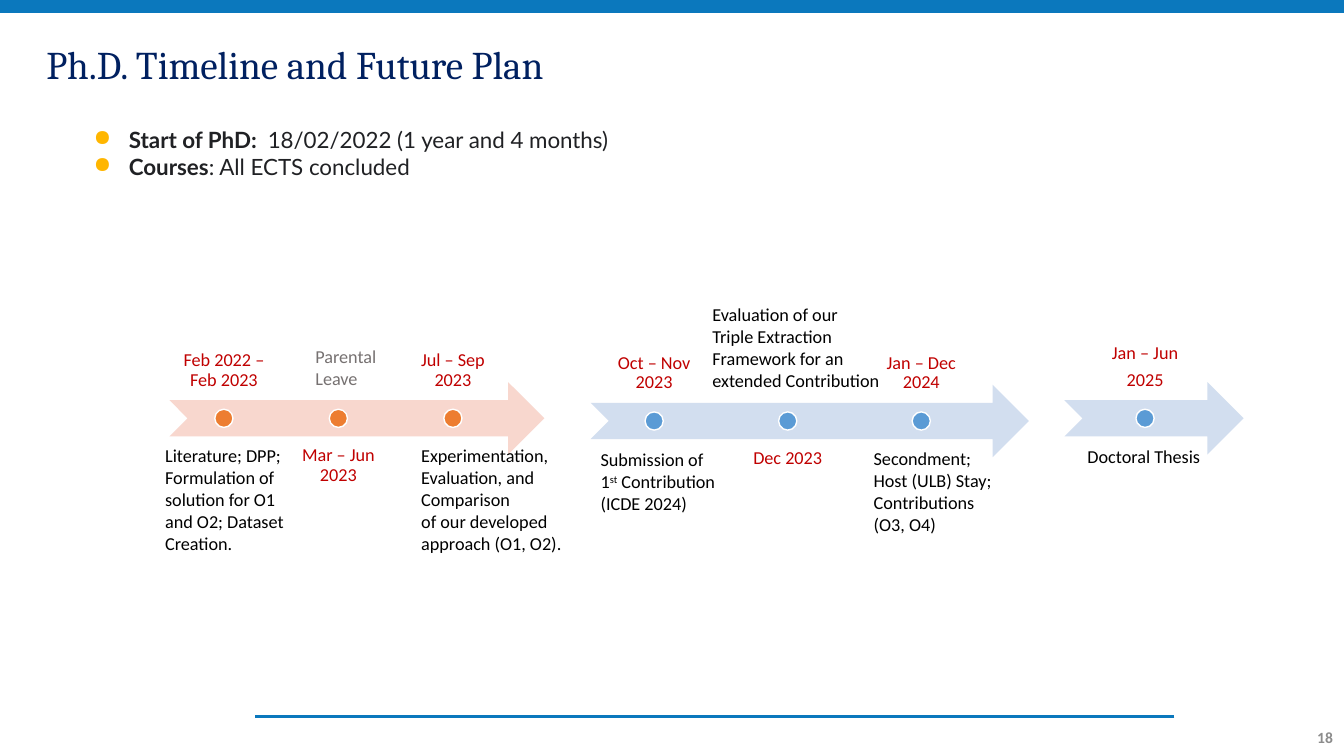
from lxml import etree
from pptx import Presentation
from pptx.dml.color import RGBColor
from pptx.enum import shapes, text
from pptx.oxml.ns import qn
from pptx.util import Pt

BLUE = RGBColor(0x0B, 0x78, 0xBD)
NAVY = RGBColor(0x00, 0x20, 0x60)
INK = RGBColor(0x20, 0x21, 0x24)
BLACK = RGBColor(0, 0, 0)
WHITE = RGBColor(0xFF, 0xFF, 0xFF)
RED = RGBColor(0xC0, 0, 0)
GREY = RGBColor(0x76, 0x71, 0x71)
PAGE_GREY = RGBColor(0x8C, 0x8C, 0x8C)
PEACH = RGBColor(0xF8, 0xD7, 0xCE)
ORANGE = RGBColor(0xED, 0x7D, 0x31)
PALE_BLUE = RGBColor(0xD2, 0xDE, 0xEF)
MID_BLUE = RGBColor(0x5B, 0x9B, 0xD5)

TOP, MIDDLE, BOTTOM = (text.MSO_ANCHOR.TOP, text.MSO_ANCHOR.MIDDLE,
                       text.MSO_ANCHOR.BOTTOM)
KINDS = shapes.MSO_SHAPE

deck = Presentation()
deck.slide_width, deck.slide_height = Pt(960), Pt(540)
slide = deck.slides.add_slide(deck.slide_layouts[6])


def add_text(box, paragraphs, font, anchor=TOP, inset=None, layout=None):
    """Each paragraph is a list of (words, extra font values); \n breaks a line."""
    frame = slide.shapes.add_textbox(*map(Pt, box)).text_frame
    frame.word_wrap = True
    frame.vertical_anchor = anchor
    if inset is not None:
        for side in ("left", "top", "right", "bottom"):
            setattr(frame, f"margin_{side}", Pt(inset))
    for i, runs in enumerate(paragraphs):
        paragraph = frame.paragraphs[0] if i == 0 else frame.add_paragraph()
        for key, value in (layout or {}).items():
            setattr(paragraph, key, value)
        for words, extra in runs:
            for n, line in enumerate(words.split("\n")):
                if n:
                    paragraph.add_line_break()
                run = paragraph.add_run()
                run.text = line
                values = {**font, **extra}
                run.font.color.rgb = values.pop("color")
                if values.pop("superscript", False):
                    run.font._element.set("baseline", "30000")
                for key, value in values.items():
                    setattr(run.font, key, value)
    return frame


def add_figure(kind, box, fill, outline=None):
    figure = slide.shapes.add_shape(kind, *map(Pt, box))
    figure.shadow.inherit = False
    figure.fill.solid()
    figure.fill.fore_color.rgb = fill
    if outline is None:
        figure.line.fill.background()
    else:
        figure.line.color.rgb = outline
        figure.line.width = Pt(1)


# Top band, footer rule and page number
add_figure(KINDS.RECTANGLE, (0, 0, 960, 9.2), BLUE)
rule = slide.shapes.add_connector(shapes.MSO_CONNECTOR.STRAIGHT,
                                  Pt(838.8), Pt(511.8), Pt(182.2), Pt(511.8))
rule.line.color.rgb = BLUE
rule.line.width = Pt(1.5)
etree.SubElement(rule._element.spPr, qn("a:effectLst"))
add_text((933.8, 512, 26, 28.8), [[("18", {})]],
         {"name": "Calibri", "size": Pt(11.1), "bold": True, "color": PAGE_GREY},
         MIDDLE, layout={"space_after": Pt(6)})

# Title
add_text((26, 18, 610.6, 48.2), [[("Ph.D. Timeline and Future Plan", {})]],
         {"name": "Cambria", "size": Pt(28), "color": NAVY},
         BOTTOM, layout={"line_spacing": 0.9})

# Key facts
facts = add_text((49, 77.8, 404.6, 62.6), [
    [("Start of PhD:  ", {"bold": True}), ("18/02/2022 (1 year and 4 months)", {})],
    [("Courses", {"bold": True}), (": All ECTS concluded", {})],
], {"name": "Lato", "size": Pt(16), "color": INK}, MIDDLE, 7.2)
for fact in facts.paragraphs:
    props = fact._p.get_or_add_pPr()
    props.set("marL", str(Pt(36)))
    props.set("indent", str(Pt(-25.2)))
    bullet_color = etree.SubElement(props, qn("a:buClr"))
    etree.SubElement(bullet_color, qn("a:srgbClr"), val="FFB600")
    etree.SubElement(props, qn("a:buChar"), char="●")

# Timeline: arrow left, top, width, fill; dot fill; date width, step; dates
phases = [
    (121, 272.9, 267.8, PEACH, ORANGE, 77.8, 81.8,
     [["Feb 2022 – Feb 2023"], ["Mar – Jun 2023"], ["Jul – Sep\n2023"]]),
    (421.9, 274.8, 313, PALE_BLUE, MID_BLUE, 90.7, 95.4,
     [["Oct – Nov 2023"], ["Dec 2023"], ["Jan – Dec\n2024"]]),
    (760.3, 272.9, 128, PALE_BLUE, MID_BLUE, 115.2, 0, [["Jan – Jun", "2025"]]),
]
ARROW_HEIGHT, DOT = 51.8, 13
label = {"name": "Calibri", "size": Pt(13)}
date_layout = {"alignment": text.PP_ALIGN.CENTER, "line_spacing": 0.9,
               "space_after": Pt(5)}
for left, top, width, arrow_fill, dot_fill, date_width, step, dates in phases:
    add_figure(KINDS.NOTCHED_RIGHT_ARROW, (left, top, width, ARROW_HEIGHT), arrow_fill)
    for i, date in enumerate(dates):
        date_left = left + i * step
        below = i % 2 == 1
        date_top = top + (38.6 if below else -38.9)
        add_text((date_left, date_top, date_width, ARROW_HEIGHT),
                 [[(line, {})] for line in date], {**label, "color": RED},
                 TOP if below else BOTTOM, 7.2, date_layout)
        add_figure(KINDS.OVAL, (date_left + (date_width - DOT) / 2,
                                top + (ARROW_HEIGHT - DOT) / 2, DOT, DOT),
                   dot_fill, WHITE)

# Descriptions of the steps
steps = [
    ((110.9, 313.9, 115.2, 85.7), BLACK, [[(
        "Literature; DPP; Formulation of solution for O1 and O2; Dataset Creation.", {})]]),
    ((218.2, 243.4, 58.3, 55.4), GREY, [[("Parental\nLeave", {})]]),
    ((293.8, 313.9, 118.1, 85.7), BLACK, [
        [("Experimentation, Evaluation, and Comparison", {})],
        [("of our developed approach (O1, O2).", {})]]),
    ((421.9, 316.8, 128.2, 54.7), BLACK, [[
        ("Submission of\n1", {}), ("st", {"superscript": True}),
        (" Contribution\n(ICDE 2024)", {})]]),
    ((501.8, 213.1, 134.6, 87.1), BLACK, [[(
        "Evaluation of our Triple Extraction Framework for an extended Contribution", {})]]),
    ((617, 316.1, 118.1, 70.6), BLACK, [[(
        "Secondment;\nHost (ULB) Stay;\nContributions\n(O3, O4)", {})]]),
    ((769.7, 314.6, 128.2, 23), BLACK, [[("Doctoral Thesis", {})]]),
]
for box, color, paragraphs in steps:
    add_text(box, paragraphs, {**label, "color": color})

deck.save("out.pptx")
